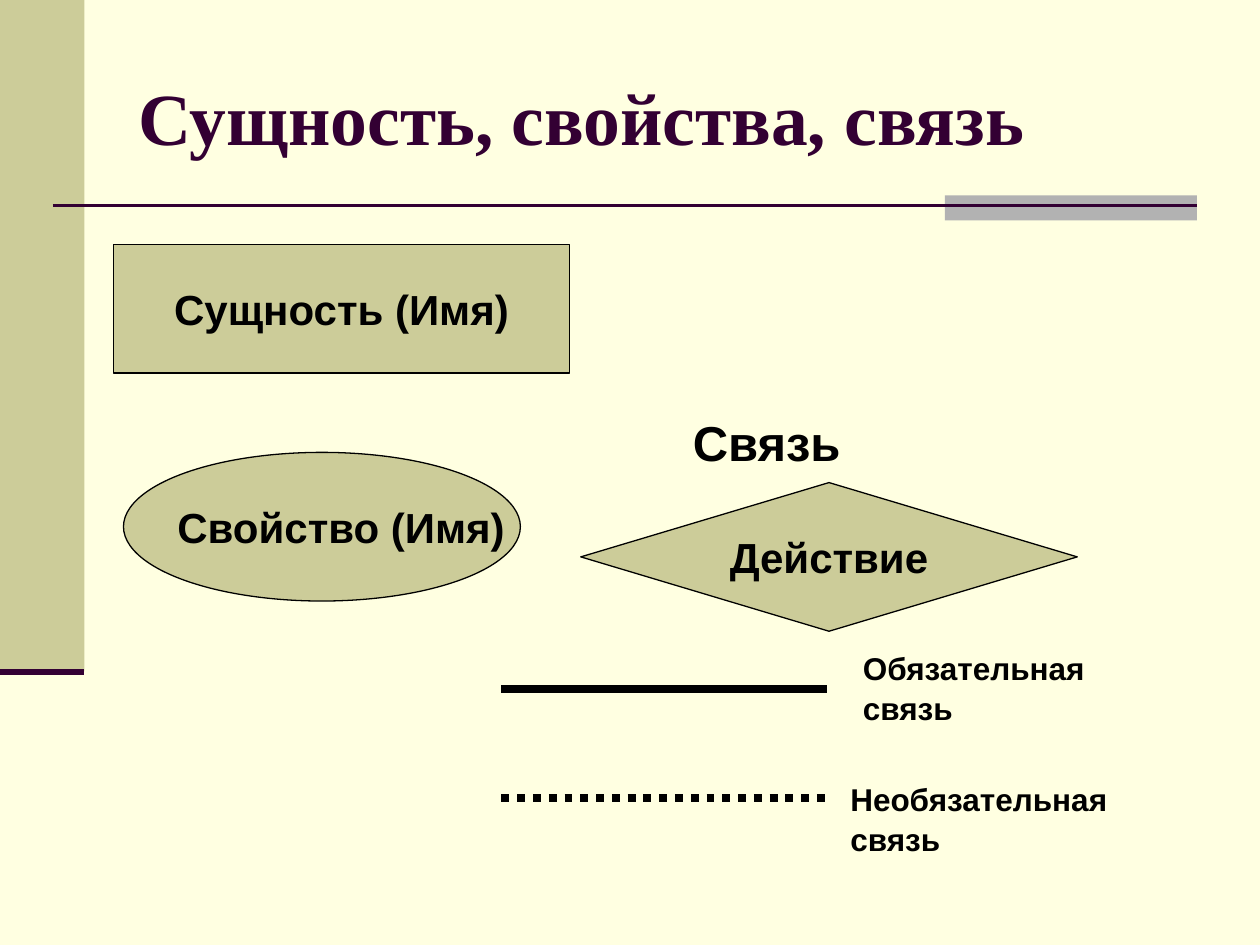
from lxml.etree import SubElement
from pptx import Presentation
from pptx.dml.color import RGBColor
from pptx.enum.dml import MSO_LINE
from pptx.enum.shapes import MSO_CONNECTOR, MSO_SHAPE
from pptx.enum.text import MSO_ANCHOR, PP_ALIGN
from pptx.oxml.ns import qn
from pptx.util import Pt

PX = 9144  # 100 px to the inch
COLORS = {
    "page": "FFFFE1",
    "olive": "CCCC99",
    "gray": "B2B2B2",
    "plum": "330033",
    "ink": "000000",
}


def color(name):
    return RGBColor.from_string(COLORS[name])


def emu(*lengths):
    return [length * PX for length in lengths]


def write(frame, text, size=24, font="Arial", tint="ink", align=PP_ALIGN.LEFT,
          anchor=MSO_ANCHOR.TOP, wrap=False, spacing=None):
    frame.text = text
    frame.word_wrap = wrap
    frame.vertical_anchor = anchor
    for para in frame.paragraphs:
        para.alignment = align
        para.line_spacing = spacing
        for span in para.runs:
            span.font.size = Pt(size)
            span.font.name = font
            span.font.bold = True
            span.font.color.rgb = color(tint)


def add_label(page, box, text, **style):
    label = page.shapes.add_textbox(*emu(*box))
    write(label.text_frame, text, spacing=1.05, **style)


def add_block(page, kind, box, fill, outline=None, text=None):
    block = page.shapes.add_shape(kind, *emu(*box))
    block.shadow.inherit = False
    block.fill.solid()
    block.fill.fore_color.rgb = color(fill)
    if outline:
        block.line.color.rgb = color(outline)
        block.line.width = Pt(0.75)
    else:
        block.line.fill.background()
    if text:
        write(block.text_frame, text, align=PP_ALIGN.CENTER, anchor=MSO_ANCHOR.MIDDLE)


def add_rule(page, left, top, width, tint, weight, dash=None):
    rule = page.shapes.add_connector(
        MSO_CONNECTOR.STRAIGHT, *emu(left, top, left + width, top))
    rule.line.color.rgb = color(tint)
    rule.line.width = Pt(weight)
    if dash:
        rule.line.dash_style = dash
    SubElement(rule._element.spPr, qn("a:effectLst"))


def add_frame(page, width):
    """Side band with its foot line, and the header rule with its gray tab."""
    band_width, band_height = 67, 533
    add_block(page, MSO_SHAPE.RECTANGLE, (0, 0, band_width, band_height), "olive")
    add_block(page, MSO_SHAPE.RECTANGLE, (width - 250, 155, 200, 20), "gray")
    add_rule(page, 42, 163, width - 92, "plum", 1.5)
    add_rule(page, 0, band_height, band_width, "plum", 3.5)


def add_title(page, box, text):
    title = page.shapes.title
    title.left, title.top, title.width, title.height = emu(*box)
    write(title.text_frame, text, size=42, font="Times New Roman", tint="plum",
          anchor=MSO_ANCHOR.MIDDLE, wrap=True)


def add_entity(page, box):
    add_block(page, MSO_SHAPE.RECTANGLE, box, "olive", "ink", "Сущность (Имя)")


def add_property(page, box):
    left, top, width, height = box
    add_block(page, MSO_SHAPE.OVAL, box, "olive", "ink")
    add_label(page, (left + 33, top + 32, 280, 50), "Свойство (Имя)")


def add_relation(page, box):
    left, top, width, height = box
    add_block(page, MSO_SHAPE.DIAMOND, box, "olive", "ink", "Действие")
    add_label(page, (left + 79, top - 63, 138, 57), "Связь", size=28)


def add_line_key(page, box):
    left, top, width, height = box
    line_width = 258
    add_rule(page, left, top + 38, line_width, "ink", 4.5)
    add_rule(page, left, top + 124, line_width, "ink", 4.5, MSO_LINE.ROUND_DOT)
    add_label(page, (left + 277, top, 204, 70), "Обязательная\nсвязь", size=18)
    add_label(page, (left + 267, top + height - 70, width - 267, 70),
              "Необязательная\nсвязь", size=18, wrap=True)


def main():
    deck = Presentation()
    deck.slide_width, deck.slide_height = emu(1000, 750)
    page = deck.slides.add_slide(deck.slide_layouts[5])
    page.background.fill.solid()
    page.background.fill.fore_color.rgb = color("page")

    add_frame(page, 1000)
    add_title(page, (100, 30, 850, 125), "Сущность, свойства, связь")
    add_entity(page, (90, 194, 362, 102))
    add_property(page, (98, 359, 315, 118))
    add_relation(page, (461, 383, 394, 118))
    add_line_key(page, (398, 509, 538, 174))
    deck.save("out.pptx")


if __name__ == "__main__":
    main()
